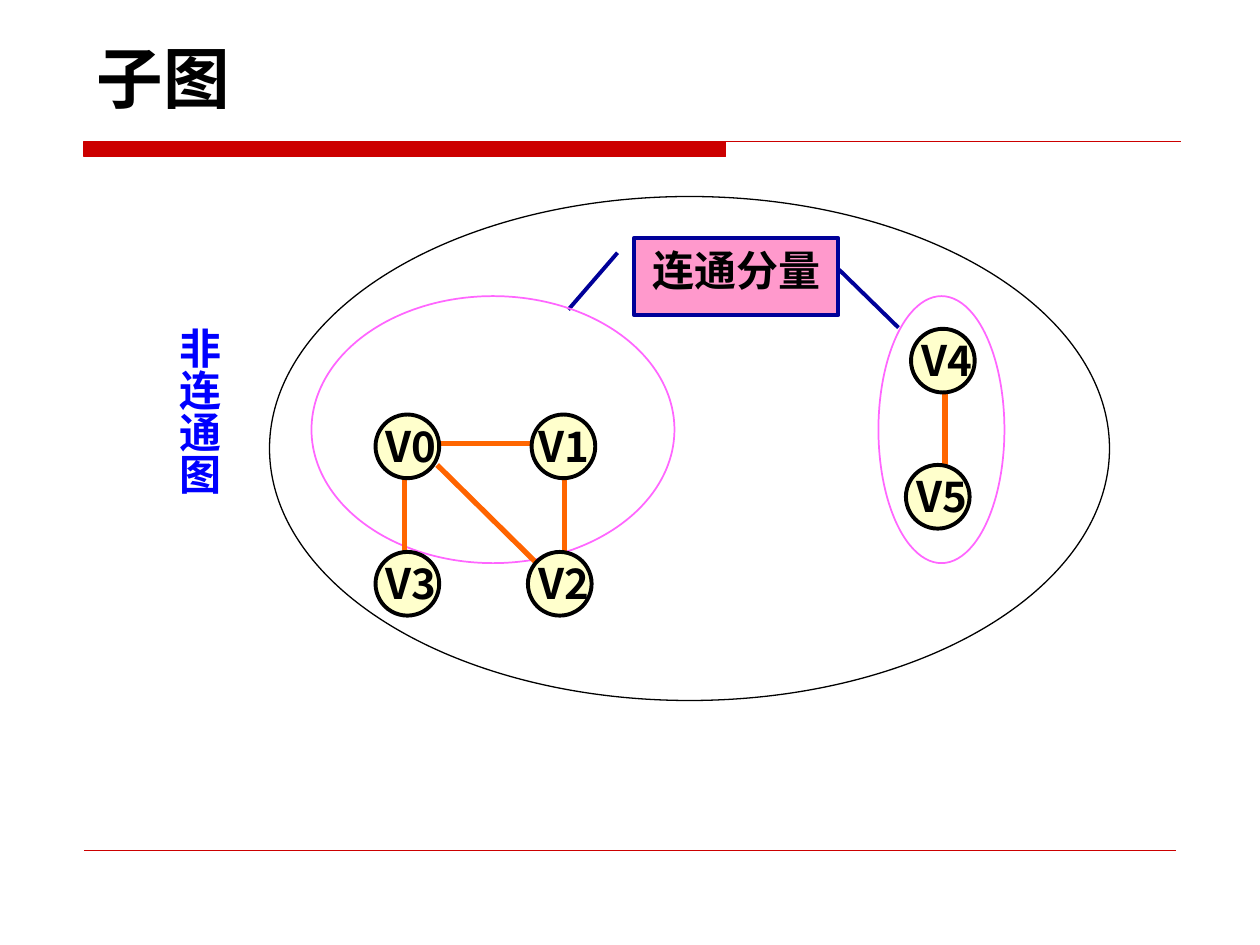
from dataclasses import dataclass

from lxml import etree
from pptx import Presentation
from pptx.dml.color import RGBColor
from pptx.enum.shapes import MSO_CONNECTOR, MSO_SHAPE
from pptx.enum.text import MSO_ANCHOR, MSO_AUTO_SIZE, PP_ALIGN
from pptx.oxml.ns import qn
from pptx.util import Pt

STRAIGHT = MSO_CONNECTOR.STRAIGHT
OVAL, CALLOUT = MSO_SHAPE.OVAL, MSO_SHAPE.LINE_CALLOUT_1
TOP, BOTTOM = MSO_ANCHOR.TOP, MSO_ANCHOR.BOTTOM
LEFT, CENTER = PP_ALIGN.LEFT, PP_ALIGN.CENTER
NO_AUTOFIT = MSO_AUTO_SIZE.NONE


@dataclass(frozen=True)
class Theme:
    """Colours, fonts and type sizes of the slide."""
    black: str = "000000"
    rule: str = "CC0000"
    navy: str = "000099"
    blue: str = "0000FF"
    pink: str = "FF99CC"
    component: str = "FF66FF"
    edge: str = "FF6600"
    diagonal: str = "FF6400"
    node: str = "FFFFCC"
    title_font: str = "DejaVu Sans"
    text_font: str = "Times New Roman"
    node_font: str = "Noto Sans CJK SC"
    title_size: int = 38
    text_size: int = 24


THEME = Theme()
NODE_SIZE = 36.4

MAIN_NODES = [
    ("V0", 214.6, 211, 236.9),
    ("V2", 301.7, 298.1, 315.4),
    ("V3", 214.6, 211, 315.4),
    ("V1", 303.8, 298.1, 236.9),
]
MAIN_EDGES = [
    (249.8, 265.7, 309.6, 324.7, THEME.diagonal),
    (231.1, 272.9, 231.1, 319, THEME.edge),
    (250.6, 253.4, 306.7, 253.4, THEME.edge),
    (322.6, 272.9, 322.6, 319, THEME.edge),
]
SIDE_NODES = [("V5", 517.7, 514.1, 265.7), ("V4", 520.6, 517, 187.9)]
SIDE_EDGES = [(540, 220.3, 540, 266.4, THEME.edge)]


def rgb(color):
    """Turn a hex string into a colour."""
    return RGBColor.from_string(color)


def write(tf, text, font, size, color, align=LEFT):
    """Write one bold paragraph into a text frame."""
    tf.word_wrap = True
    p = tf.paragraphs[0]
    p.add_run().text = text
    p.alignment = align
    p.font.name, p.font.size, p.font.bold = font, Pt(size), True
    p.font.color.rgb = rgb(color)


def style(sp, line, width, fill=None):
    """Set the outline and fill of a shape and drop its shadow."""
    sp.shadow.inherit = False
    sp.line.color.rgb, sp.line.width = rgb(line), Pt(width)
    if fill:
        sp.fill.solid()
        sp.fill.fore_color.rgb = rgb(fill)
    else:
        sp.fill.background()


def add_shape(shapes, kind, box, line, width, fill=None):
    """Add a styled preset shape."""
    sp = shapes.add_shape(kind, *map(Pt, box))
    style(sp, line, width, fill)
    return sp


def add_line(shapes, ends, color, width):
    """Add a straight line without a shadow."""
    cx = shapes.add_connector(STRAIGHT, *map(Pt, ends))
    cx.line.color.rgb, cx.line.width = rgb(color), Pt(width)
    etree.SubElement(cx._element.spPr, qn("a:effectLst"))


def add_title(s, text):
    """Place and fill the title placeholder."""
    sp = s.shapes.title
    sp.left, sp.top, sp.width, sp.height = map(Pt, (48, 8.6, 472.3, 61.9))
    tf = sp.text_frame
    tf.auto_size, tf.vertical_anchor = NO_AUTOFIT, BOTTOM
    write(tf, text, THEME.title_font, THEME.title_size, THEME.black)


def add_rules(shapes):
    """Draw the heavy title rule with its thin tail, and the footer rule."""
    left, top, bar_right, right, bottom = 48, 81, 414.7, 674.6, 89.5
    fb = shapes.build_freeform(Pt(left), Pt(top))
    corners = [(bar_right, top), (bar_right, bottom), (left, bottom)]
    fb.add_line_segments([(Pt(x), Pt(y)) for x, y in corners], close=True)
    fb.move_to(Pt(left), Pt(top))
    fb.add_line_segments([(Pt(right), Pt(top))], close=False)
    style(fb.convert_to_shape(), THEME.rule, 0.75, THEME.rule)
    add_line(shapes, (left, 486, 672, 486), THEME.rule, 0.25)


def add_callout(shapes, text):
    """Add the component callout and its second leader."""
    sp = add_shape(shapes, CALLOUT, (362.2, 136.1, 116.9, 43.9), THEME.navy, 2.25, THEME.pink)
    for i, value in enumerate((0.19, -0.08, 0.93, -0.32)):
        sp.adjustments[i] = value
    sp.text_frame.vertical_anchor = TOP
    write(sp.text_frame, text, THEME.text_font, THEME.text_size, THEME.black, CENTER)
    add_line(shapes, (479.5, 154.1, 513.4, 187.2), THEME.navy, 2.25)


def add_vertical_label(shapes, text):
    """Add the label that reads from top to bottom."""
    sp = shapes.add_textbox(*map(Pt, (88.6, 180, 43.2, 126)))
    tf = sp.text_frame
    tf.margin_left = tf.margin_right = Pt(3.6)
    tf.margin_top = tf.margin_bottom = Pt(7.2)
    sp._element.txBody.bodyPr.set("vert", "eaVert")
    write(tf, text, THEME.text_font, THEME.text_size, THEME.blue)


def add_node(shapes, name, x, label_x, y):
    """Add a graph node and its label."""
    add_shape(shapes, OVAL, (x, y, NODE_SIZE, NODE_SIZE), THEME.black, 2.25, THEME.node)
    tf = shapes.add_textbox(*map(Pt, (label_x, y - 0.4, 51.1, 36))).text_frame
    tf.margin_left = Pt(9.4)
    write(tf, name, THEME.node_font, THEME.text_size, THEME.black)


def add_graph(shapes, edges, nodes):
    """Add edges first, then the nodes that cover their ends."""
    for *ends, color in edges:
        add_line(shapes, ends, color, 3)
    for node in nodes:
        add_node(shapes, *node)


def main():
    """Build the slide and save it."""
    prs = Presentation()
    prs.slide_width, prs.slide_height = Pt(720), Pt(540)
    s = prs.slides.add_slide(prs.slide_layouts[5])
    shapes = s.shapes
    add_rules(shapes)
    add_title(s, "子图")
    add_callout(shapes, "连通分量")
    add_vertical_label(shapes, "非连通图")
    add_shape(shapes, OVAL, (178, 169.2, 207.4, 152.6), THEME.component, 1)
    add_graph(shapes.add_group_shape().shapes, MAIN_EDGES, MAIN_NODES)
    side = shapes.add_group_shape().shapes
    add_shape(side, OVAL, (502, 169.2, 72, 152.6), THEME.component, 1)
    add_graph(side, SIDE_EDGES, SIDE_NODES)
    add_shape(shapes, OVAL, (154, 112.3, 480, 288), THEME.black, 0.75)
    prs.save("out.pptx")


if __name__ == "__main__":
    main()
